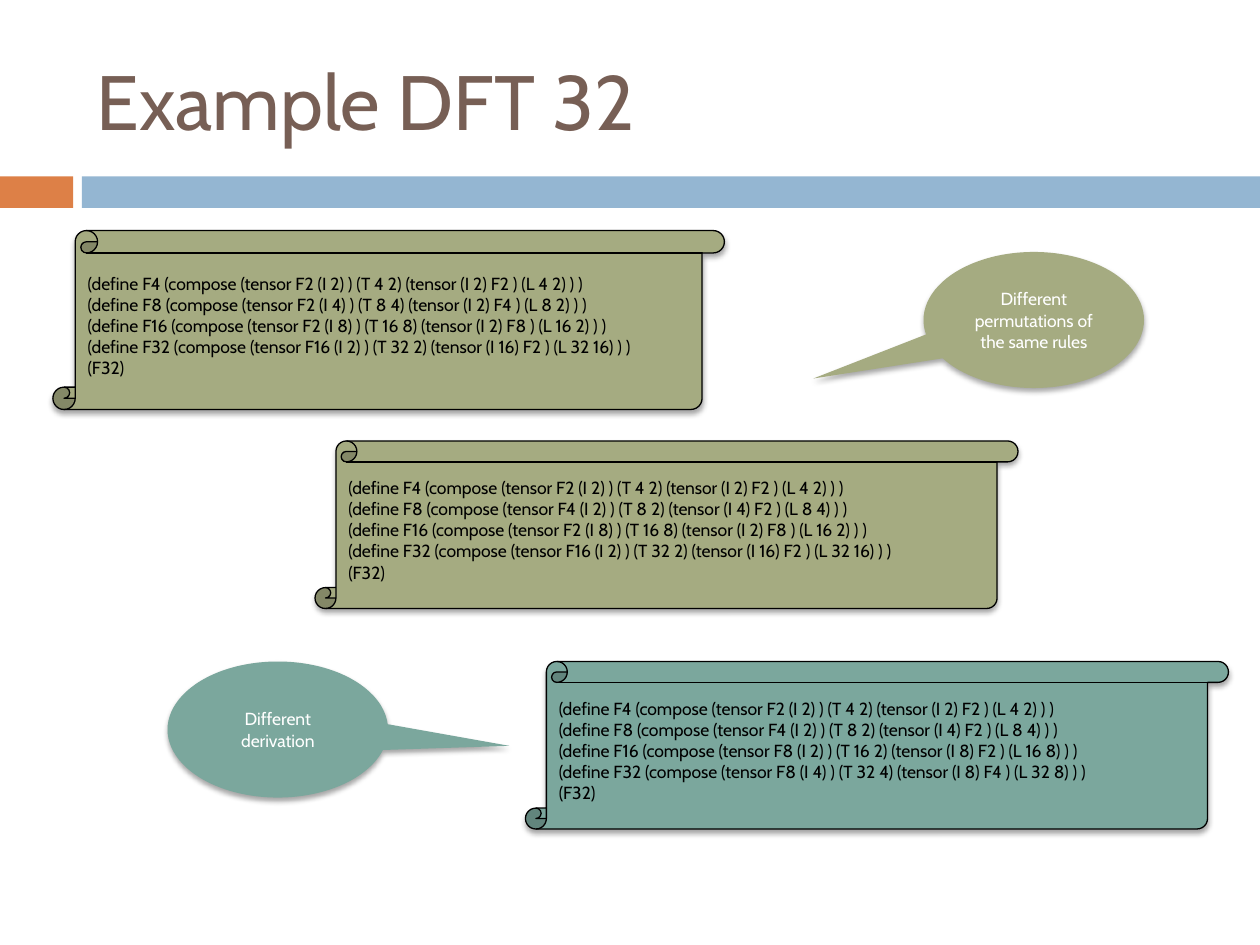
from lxml.etree import SubElement
from pptx import Presentation
from pptx.dml.color import RGBColor
from pptx.enum.shapes import MSO_SHAPE
from pptx.enum.text import MSO_ANCHOR, PP_ALIGN
from pptx.oxml.ns import qn
from pptx.util import Inches, Pt

COLORS = {
    "orange": "DD8047", "blue": "94B6D2", "brown": "775F55",
    "olive": "A5AB81", "teal": "7BA79D", "black": "000000", "white": "FFFFFF",
}


def rgb(name):
    """Look up a named colour."""
    return RGBColor.from_string(COLORS[name])


def rule(left, right):
    """Word the rule that splits a transform into two factors."""
    size = left * right
    return (f"(define F{size} (compose (tensor F{left} (I {right}) ) (T {size} {right}) "
            f"(tensor (I {left}) F{right} ) (L {size} {left}) ) )")


class Deck:
    """Holds the style and the current slide."""

    font = "Cabin"

    def __init__(self):
        """Start a deck with one blank slide."""
        self.prs = Presentation()
        self.prs.slide_width, self.prs.slide_height = Inches(10), Inches(7.5)
        self.slide = self.prs.slides.add_slide(self.prs.slide_layouts[6])

    def label(self, shape, lines, size, color, align=PP_ALIGN.LEFT):
        """Fill a shape with one paragraph per line."""
        frame = shape.text_frame
        frame.word_wrap = True
        frame.vertical_anchor = MSO_ANCHOR.MIDDLE
        frame.text = "\n".join(lines)
        for para in frame.paragraphs:
            para.alignment = align
            para.font.name = self.font
            para.font.size = Pt(size)
            para.font.color.rgb = rgb(color)

    def shape(self, kind, box, fill, line=None):
        """Add a flat filled shape."""
        item = self.slide.shapes.add_shape(kind, *map(Inches, box))
        item.shadow.inherit = False
        item.fill.solid()
        item.fill.fore_color.rgb = rgb(fill)
        if line:
            item.line.color.rgb = rgb(line)
            item.line.width = Pt(0.75)
        else:
            item.line.fill.background()
        return item

    def shade(self, item):
        """Give a shape a soft shadow below it."""
        effects = item._element.spPr.find(qn("a:effectLst"))
        outer = SubElement(effects, qn("a:outerShdw"), blurRad=str(Pt(3)),
                           dist=str(Pt(2)), dir="5400000", rotWithShape="0")
        color = SubElement(outer, qn("a:srgbClr"), val=COLORS["black"])
        SubElement(color, qn("a:alpha"), val="35000")

    def title(self, text, box):
        """Add the slide title."""
        item = self.slide.shapes.add_textbox(*map(Inches, box))
        self.label(item, [text], 44, "brown")

    def scroll(self, box, fill, splits):
        """Add a scroll that lists the rules and the final call."""
        item = self.shape(MSO_SHAPE.VERTICAL_SCROLL, box, fill, "black")
        self.shade(item)
        lines = [rule(*pair) for pair in splits]
        self.label(item, lines + ["(F32)"], 10, "black")

    def callout(self, left, top, fill, tip, text):
        """Add an oval callout whose tail ends at tip."""
        item = self.shape(MSO_SHAPE.OVAL_CALLOUT, (left, top, 1.75, 1.08), fill)
        item.adjustments[0], item.adjustments[1] = tip
        self.shade(item)
        self.label(item, [text], 10, "white", PP_ALIGN.CENTER)


deck = Deck()
deck.shape(MSO_SHAPE.RECTANGLE, (0, 1.4, 0.58, 0.25), "orange")
deck.shape(MSO_SHAPE.RECTANGLE, (0.65, 1.4, 9.35, 0.25), "blue")
deck.title("Example DFT 32", (0.67, 0.25, 8.92, 1.08))

deck.scroll((0.42, 1.83, 5.33, 1.42), "olive", [(2, 2), (2, 4), (2, 8), (16, 2)])
deck.scroll((2.5, 3.5, 5.58, 1.33), "olive", [(2, 2), (4, 2), (2, 8), (16, 2)])
deck.scroll((4.17, 5.25, 5.58, 1.33), "teal", [(2, 2), (4, 2), (8, 2), (8, 4)])

deck.callout(7.33, 2, "olive", (-1, 0.43), "Different permutations of the same rules")
deck.callout(1.33, 5.25, "teal", (1.05, 0.12), "Different derivation")

deck.prs.save("out.pptx")
